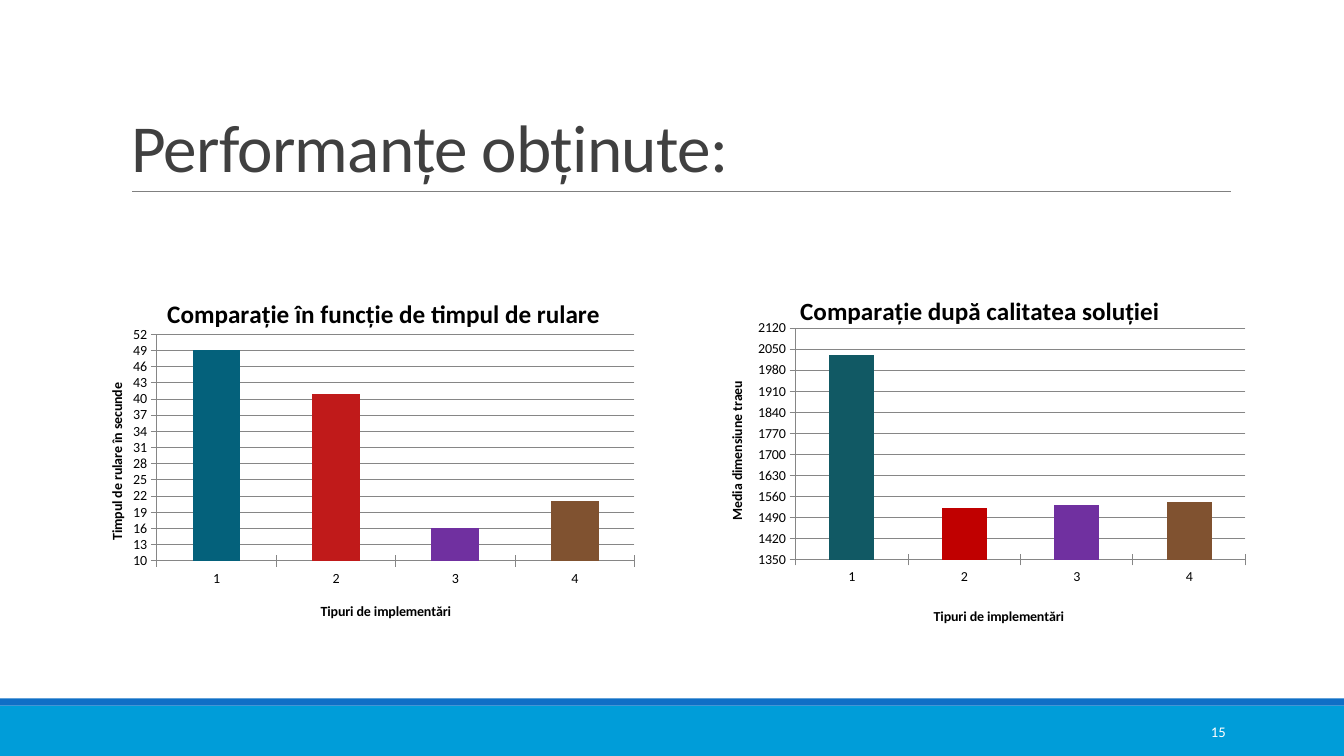
from dataclasses import dataclass
from typing import Optional

from lxml import etree
from pptx import Presentation
from pptx.chart.data import CategoryChartData
from pptx.dml.color import RGBColor
from pptx.enum.chart import XL_CHART_TYPE as ChartType, XL_TICK_MARK as Tick
from pptx.enum.shapes import MSO_CONNECTOR as Connector, MSO_SHAPE as Preset
from pptx.enum.text import MSO_ANCHOR as Anchor, MSO_AUTO_SIZE as AutoSize, PP_ALIGN as Align
from pptx.oxml.ns import qn
from pptx.util import Cm, Pt


@dataclass(frozen=True)
class Theme:
    font: str = "Calibri"
    title: str = "404040"
    ink: str = "000000"
    white: str = "FFFFFF"
    rule: str = "808080"
    grid: str = "868686"
    band: str = "009DD9"
    stripe: str = "0F6FC6"
    title_size: float = 48
    chart_title_size: float = 18
    label_size: float = 10
    number_size: float = 10.5


@dataclass(frozen=True)
class Box:
    left: float
    top: float
    width: float
    height: float

    def lengths(self):
        return Cm(self.left), Cm(self.top), Cm(self.width), Cm(self.height)


@dataclass(frozen=True)
class Comparison:
    title: str
    value_title: str
    values: tuple
    colors: tuple
    scale: tuple
    plot: tuple
    title_spots: tuple
    outline: Optional[str] = None


THEME = Theme()
PAGE = Box(0, 0, 33.87, 19.05)


def rgb(color):
    return RGBColor.from_string(color)


def add_span(para, text, size, color, bold=False):
    span = para.add_run()
    span.text = text
    span.font.name = THEME.font
    span.font.size = Pt(size)
    span.font.bold = bold
    span.font.color.rgb = rgb(color)
    return span


def add_bar(page, box, color):
    bar = page.shapes.add_shape(Preset.RECTANGLE, *box.lengths())
    bar.shadow.inherit = False
    bar.fill.solid()
    bar.fill.fore_color.rgb = rgb(color)
    bar.line.fill.background()


def add_footer(page, box, number):
    stripe = 0.18
    add_bar(page, Box(box.left, box.top + stripe, box.width, box.height - stripe), THEME.band)
    add_bar(page, Box(box.left, box.top, box.width, stripe), THEME.stripe)
    label = Box(box.left + box.width - 6.36, box.top + 0.33, 3.63, 1.02)
    frame = page.shapes.add_textbox(*label.lengths()).text_frame
    frame.word_wrap = True
    frame.vertical_anchor = Anchor.MIDDLE
    para = frame.paragraphs[0]
    para.alignment = Align.RIGHT
    add_span(para, number, THEME.number_size, THEME.white)


def add_heading(page, box, text):
    title = page.shapes.title
    title.left, title.top, title.width, title.height = box.lengths()
    frame = title.text_frame
    frame.word_wrap = True
    frame.auto_size = AutoSize.NONE
    frame.vertical_anchor = Anchor.BOTTOM
    para = frame.paragraphs[0]
    para.alignment = Align.LEFT
    para.line_spacing = 0.85
    span = add_span(para, text, THEME.title_size, THEME.title)
    span.font._element.set("spc", "-50")
    left, base = box.left + 0.28, box.top + box.height
    rule = page.shapes.add_connector(
        Connector.STRAIGHT, Cm(left), Cm(base), Cm(left + 27.69), Cm(base))
    rule.line.color.rgb = rgb(THEME.rule)
    rule.line.width = Pt(0.5)
    etree.SubElement(rule._element.spPr, qn("a:effectLst"))


def make_layout(**settings):
    layout = etree.Element(qn("c:layout"))
    manual = etree.SubElement(layout, qn("c:manualLayout"))
    for name, value in settings.items():
        etree.SubElement(manual, qn(f"c:{name}")).set("val", str(value))
    return layout


def place_parts(chart, comparison):
    area = next(chart.element.iter(qn("c:plotArea")))
    titles = list(chart.element.iter(qn("c:title")))
    for holder in [area, *titles]:
        for previous in holder.findall(qn("c:layout")):
            holder.remove(previous)
    x, y, width, height = comparison.plot
    area.insert(0, make_layout(layoutTarget="inner", xMode="edge", yMode="edge",
                               x=x, y=y, w=width, h=height))
    for title, (x, y) in zip(titles, comparison.title_spots):
        title.find(qn("c:tx")).addnext(make_layout(xMode="edge", yMode="edge", x=x, y=y))


def style_axis(axis, title):
    axis.major_tick_mark = Tick.CROSS
    axis.format.line.color.rgb = rgb(THEME.grid)
    add_span(axis.axis_title.text_frame.paragraphs[0], title,
             THEME.label_size, THEME.ink, True)


def add_comparison(page, box, comparison):
    data = CategoryChartData()
    data.categories = [str(number + 1) for number in range(len(comparison.values))]
    data.add_series("Series 1", comparison.values)
    chart = page.shapes.add_chart(ChartType.COLUMN_STACKED, *box.lengths(), data).chart
    chart.has_legend = False
    chart.font.name = THEME.font
    chart.font.size = Pt(THEME.label_size)
    chart.font.color.rgb = rgb(THEME.ink)
    add_span(chart.chart_title.text_frame.paragraphs[0], comparison.title,
             THEME.chart_title_size, THEME.ink, True)

    style_axis(chart.category_axis, "Tipuri de implementări")
    axis = chart.value_axis
    style_axis(axis, comparison.value_title)
    axis.minimum_scale, axis.maximum_scale, axis.major_unit = comparison.scale
    axis.has_major_gridlines = True
    axis.major_gridlines.format.line.color.rgb = rgb(THEME.grid)

    plot = chart.plots[0]
    plot.vary_by_categories = False
    plot.gap_width, plot.overlap = 150, 100
    series = plot.series[0]
    series.format.fill.solid()
    series.format.fill.fore_color.rgb = rgb(THEME.stripe)
    if comparison.outline:
        series.format.line.color.rgb = rgb(comparison.outline)
        series.format.line.width = Pt(0.75)
    for index, color in enumerate(comparison.colors):
        fill = series.points[index].format.fill
        fill.solid()
        fill.fore_color.rgb = rgb(color)
    place_parts(chart, comparison)


def build_performance_page(deck):
    page = deck.slides.add_slide(deck.slide_layouts[5])
    add_footer(page, Box(PAGE.left, 17.6, PAGE.width, PAGE.height - 17.6), "15")
    add_heading(page, Box(3.05, 0.79, 27.94, 4.03), "Performanțe obținute:")
    add_comparison(page, Box(2.36, 6.91, 14.5, 8.92), Comparison(
        "Comparație în funcție de timpul de rulare", "Timpul de rulare în secunde",
        (49, 41, 16, 21), ("04617B", "C01A1A", "7030A0", "805230"),
        (10, 52, 3), (0.11, 0.17, 0.83, 0.64),
        ((0.12, 0.05), (0.39, 0.92), (0.02, 0.3))))
    add_comparison(page, Box(17.73, 6.86, 13.67, 8.99), Comparison(
        "Comparație după calitatea soluției", "Media dimensiune traeu",
        (2030, 1520, 1530, 1540), ("115964", "C00000", "7030A0", "805230"),
        (1350, 2120, 70), (0.17, 0.16, 0.83, 0.66),
        ((0.17, 0.05), (0.42, 0.95), (0.04, 0.31)), "04617B"))


deck = Presentation()
deck.slide_width, deck.slide_height = Cm(PAGE.width), Cm(PAGE.height)
build_performance_page(deck)
deck.save("out.pptx")
